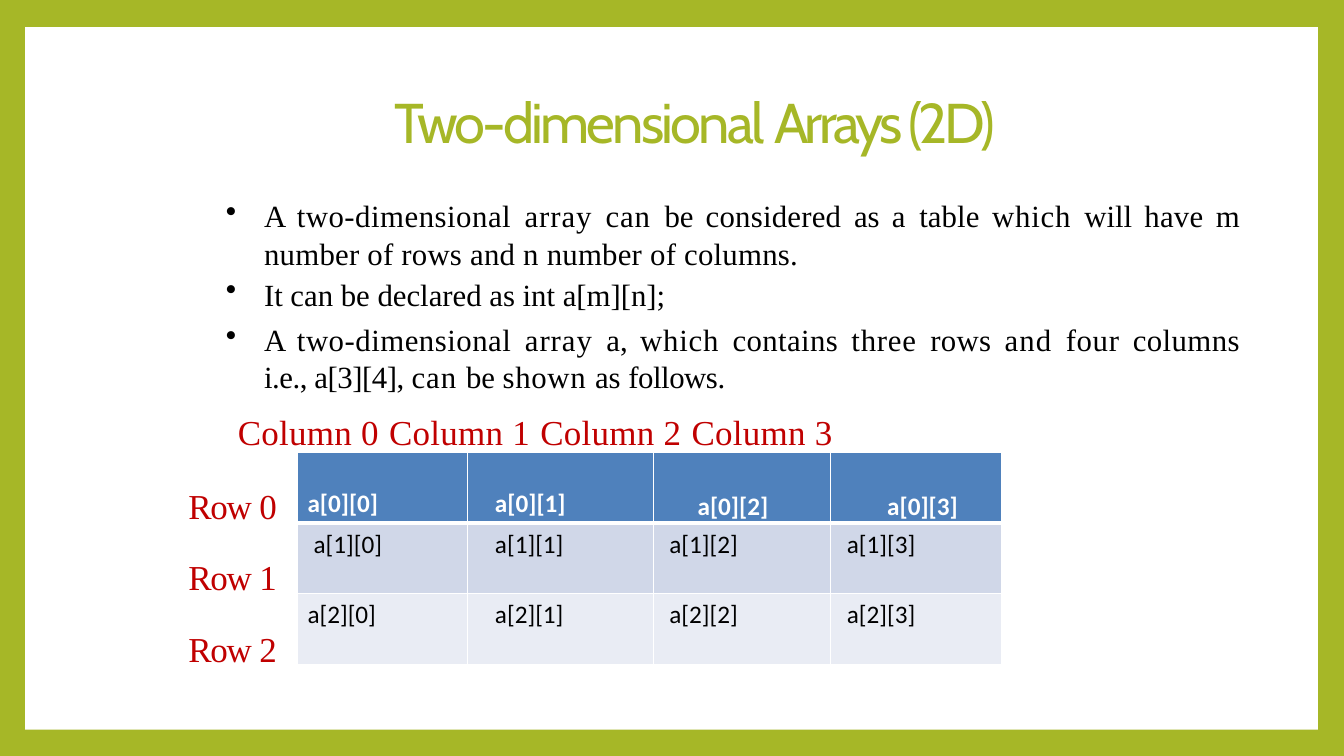
"""Build the slide on two-dimensional arrays."""
from lxml import etree
from pptx import Presentation
from pptx import util as u
from pptx.dml.color import RGBColor
from pptx.enum import shapes, text
from pptx.oxml import ns

GREEN = RGBColor(0xA6, 0xB7, 0x27)
WHITE = RGBColor(0xFF, 0xFF, 0xFF)
BLACK = RGBColor(0, 0, 0)
RED = RGBColor(0xC0, 0, 0)
BANDS = [RGBColor(0x4F, 0x81, 0xBC), RGBColor(0xD0, 0xD7, 0xE8), RGBColor(0xE9, 0xEC, 0xF4)]

TITLE = [("Two-dimensional ", -2), ("Arrays (2D)", -2.6)]
POINTS = [
    [("A ", 0), ("two-dimensional ", .4), ("array can ", .7), ("be ", 0),
     ("considered ", .2), ("as ", 0), ("a ", .6), ("table ", .1), ("which ", .6),
     ("will ", 0), ("have m number of rows and n number of columns.", .2)],
    [("It can be declared as int a[m][n];", 0)],
    [("A ", 0), ("two-dimensional ", .4), ("array ", .7), ("a, ", 0), ("which ", .6),
     ("contains ", .3), ("three ", .6), ("rows ", .3), ("and ", .8), ("four ", .5),
     ("columns ", .3), ("i.e., a[3][4], ", -.3), ("can ", .7), ("be ", 0),
     ("shown ", .5), ("as ", 0), ("follows.", -.3)],
]
LEADS = [(1.03, 0), (1.03, 1.9), (1, 6)]
TABS = [1.24, 2.76, 4.7, 6.52]
WIDTHS = [1.69, 1.84, 1.76, 1.69]
TALL = .7
INSETS = [[.1, .27, .44, .56], [.16, .27, .16, .16], [.1, .27, .16, .16]]
TOPS = [[.36, .36, .39, .39], [.06] * 4, [.06] * 4]


def put(obj, **vals):
    for key, val in vals.items():
        setattr(obj, key, val)


def sub(node, tag, **vals):
    return etree.SubElement(node, ns.qn(tag), {k: str(v) for k, v in vals.items()})


def frame(slide, box, top):
    tf = slide.shapes.add_textbox(*map(u.Inches, box)).text_frame
    put(tf, word_wrap=True, margin_left=0, margin_right=0,
        margin_top=u.Inches(top), margin_bottom=0)
    return tf


def write(para, runs, font, left=0, hang=0, **form):
    ppr = para._p.get_or_add_pPr()
    ppr.set("marL", str(u.Inches(left)))
    ppr.set("indent", str(u.Inches(hang)))
    put(para, **form)
    for words, gap in runs:
        run = para.add_run()
        run.text = words
        put(run.font, name=font[0], size=u.Pt(font[1]))
        run.font.color.rgb = font[2]
        run._r.get_or_add_rPr().set("spc", str(round(gap * 100)))


def notes(slide):
    tf = frame(slide, (1.86, 1.89, 10.44, 4.77), .05)
    body, label = ("Times New Roman", 22, BLACK), ("Times New Roman", 25, RED)
    for i, (runs, (lead, gap)) in enumerate(zip(POINTS, LEADS)):
        para = tf.add_paragraph() if i else tf.paragraphs[0]
        sub(para._p.get_or_add_pPr(), "a:buChar", char="•")
        write(para, runs, body, .76, -.38, alignment=text.PP_ALIGN.JUSTIFY,
              line_spacing=lead, space_before=u.Pt(gap))
    para = tf.add_paragraph()
    stops = sub(para._p.get_or_add_pPr(), "a:tabLst")
    heads = []
    for i, tab in enumerate(TABS):
        sub(stops, "a:tab", pos=u.Inches(tab), algn="l")
        heads += [("\tColumn ", .2), (str(i), 1.2)]
    write(para, heads, label, space_before=u.Pt(11.5))
    for i in range(len(BANDS)):
        write(tf.add_paragraph(), [("Row ", -.9), (str(i), 1.2)], label, .01,
              line_spacing=1.5, space_before=u.Pt(6 if i else 7.7))


def edge(cell, row):
    tcpr = cell._tc.get_or_add_tcPr()
    thick = {"T": 3 if row == 1 else 1, "B": 1 if row else 3}
    for side in "LRTB":
        line = sub(tcpr, "a:ln" + side, w=u.Pt(thick.get(side, 1)))
        sub(sub(line, "a:solidFill"), "a:srgbClr", val=WHITE)


def grid(slide):
    size = (2.95, 4.49, sum(WIDTHS), TALL * len(BANDS))
    table = slide.shapes.add_table(len(BANDS), len(WIDTHS), *map(u.Inches, size)).table
    put(table, first_row=False, horz_banding=False)
    for col, wide in zip(table.columns, WIDTHS):
        col.width = u.Inches(wide)
    for r, band in enumerate(BANDS):
        table.rows[r].height = u.Inches(TALL)
        for c in range(len(WIDTHS)):
            cell = table.cell(r, c)
            put(cell, margin_left=u.Inches(INSETS[r][c]), margin_right=0,
                margin_top=u.Inches(TOPS[r][c]), margin_bottom=0)
            edge(cell, r)
            cell.fill.solid()
            cell.fill.fore_color.rgb = band
            para = cell.text_frame.paragraphs[0]
            write(para, [(f"a[{r}][{c}]", 0)], ("Calibri", 18, BLACK if r else WHITE))
            para.runs[0].font.bold = r == 0


def main():
    deck = Presentation()
    put(deck, slide_width=u.Inches(13.33), slide_height=u.Inches(7.5))
    slide = deck.slides.add_slide(deck.slide_layouts[6])
    back = slide.background.fill
    back.solid()
    back.fore_color.rgb = GREEN
    page = slide.shapes.add_shape(shapes.MSO_SHAPE.RECTANGLE,
                                  *map(u.Inches, (.25, .27, 12.82, 6.97)))
    page.shadow.inherit = False
    page.fill.solid()
    page.fill.fore_color.rgb = WHITE
    page.line.fill.background()
    notes(slide)
    grid(slide)
    head = frame(slide, (3.9, .85, 6.37, .69), .01)
    head.vertical_anchor = text.MSO_ANCHOR.MIDDLE
    write(head.paragraphs[0], TITLE, ("Cabin", 40, GREEN), .01)
    deck.save("out.pptx")


if __name__ == "__main__":
    main()
